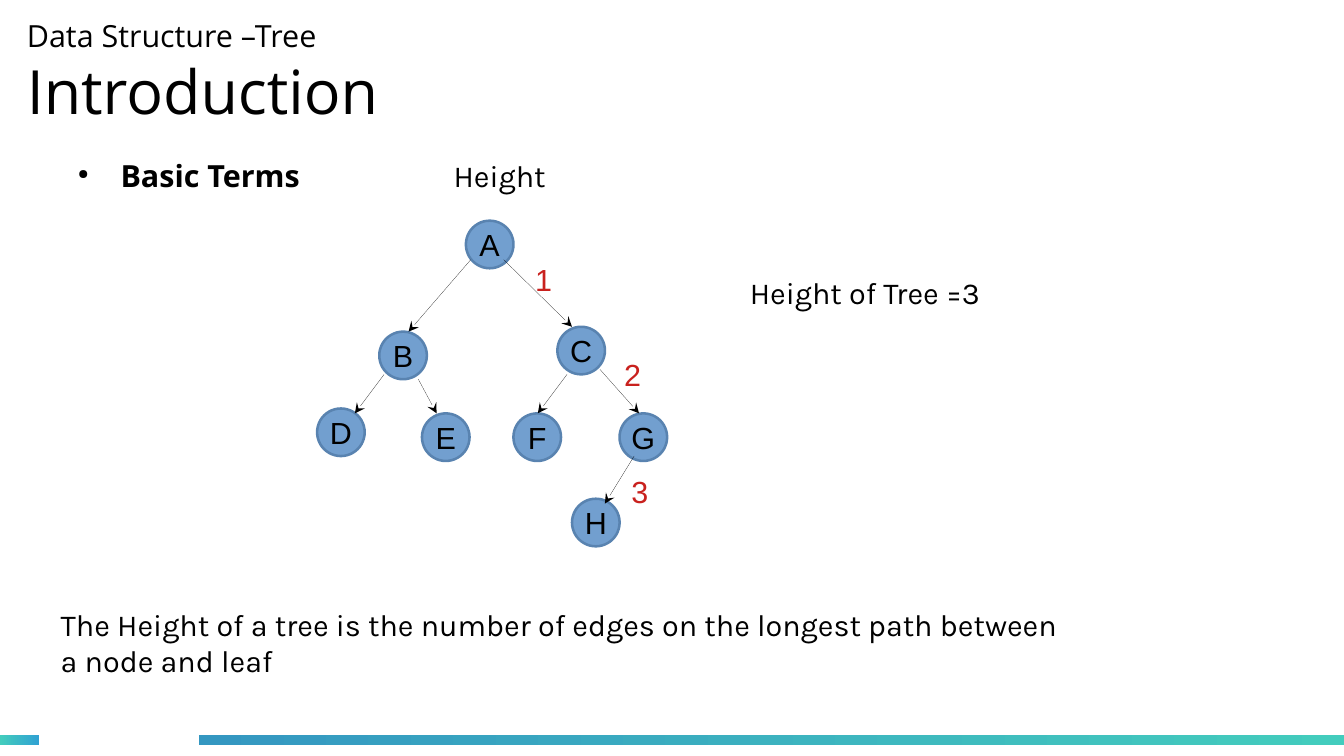
from pptx import Presentation
from pptx.dml.color import RGBColor
from pptx.enum.shapes import MSO_CONNECTOR as LINK, MSO_SHAPE as SHAPE
from pptx.enum.text import MSO_ANCHOR as ANCHOR, MSO_AUTO_SIZE as AUTO, PP_ALIGN as ALIGN
from pptx.oxml.ns import qn
from pptx.util import Inches, Pt
from lxml.etree import SubElement

BLACK = RGBColor(0x00, 0x00, 0x00)
RED = RGBColor(0xC9, 0x21, 0x1E)
NODE = RGBColor(0x72, 0x9F, 0xCF)
RIM = RGBColor(0x59, 0x83, 0xB0)
TEAL = RGBColor(0x43, 0xCC, 0xBD)
SKY = RGBColor(0x30, 0xA2, 0xD2)
BLUE = RGBColor(0x34, 0x97, 0xC1)

SIZE = 0.39  # node diameter

# Offsets in inches from the top left corner of the tree
NODES = {
    "A": (1.22, 0), "B": (0.51, 0.91), "C": (1.97, 0.87), "D": (0, 1.54),
    "E": (0.86, 1.58), "F": (1.61, 1.58), "G": (2.48, 1.58), "H": (2.09, 2.28),
}
EDGES = [
    (1.53, 0.32, 2.09, 0.87), (1.26, 0.32, 0.75, 0.91),
    (2.32, 1.22, 2.64, 1.58), (0.83, 1.3, 0.98, 1.58),
    (0.55, 1.26, 0.31, 1.58), (2.05, 1.26, 1.81, 1.58),
    (2.6, 1.93, 2.36, 2.32),
]
STEPS = {"1": (1.69, 0.28), "2": (2.42, 1.06), "3": (2.48, 2.02)}


def add_run(para, text, face, size=18, color=BLACK, bold=False):
    run = para.add_run()
    run.text = text
    font = run.font
    font.name, font.size, font.bold = face, Pt(size), bold
    font.color.rgb = color


def add_text(slide, box, lines, face="Karla", color=BLACK, bold=False):
    """Add a text box with one paragraph per line and return its frame."""
    frame = slide.shapes.add_textbox(*map(Inches, box)).text_frame
    frame.word_wrap = False
    for i, line in enumerate(lines):
        para = frame.add_paragraph() if i else frame.paragraphs[0]
        add_run(para, line, face, color=color, bold=bold)
    return frame


def add_title(slide, box):
    title = slide.shapes.title
    title.left, title.top, title.width, title.height = map(Inches, box)
    frame = title.text_frame
    frame.margin_left = frame.margin_right = 0
    frame.margin_top = frame.margin_bottom = 0
    frame.vertical_anchor = ANCHOR.MIDDLE
    frame.auto_size = AUTO.NONE
    para = frame.paragraphs[0]
    para.alignment = ALIGN.LEFT
    add_run(para, "Data Structure –Tree", "Open Sans")
    para.add_line_break()
    add_run(para, "Introduction", "Open Sans", 36)


def add_topic(slide, box):
    """Add the bulleted heading of the slide."""
    frame = add_text(slide, box, ["Basic Terms"], "Open Sans", bold=True)
    props = frame.paragraphs[0]._p.get_or_add_pPr()
    props.set("marL", str(Inches(0.47)))
    props.set("indent", str(Inches(-0.35)))
    SubElement(props, qn("a:buSzPct")).set("val", "45000")
    SubElement(props, qn("a:buChar")).set("char", "●")


def add_bar(slide, box, start, end):
    bar = slide.shapes.add_shape(SHAPE.RECTANGLE, *map(Inches, box))
    bar.shadow.inherit = False
    bar.line.fill.background()
    bar.fill.gradient()
    bar.fill.gradient_angle = 0
    for stop, color in zip(bar.fill.gradient_stops, (start, end)):
        stop.color.rgb = color


def add_node(slide, name, left, top):
    node = slide.shapes.add_shape(
        SHAPE.OVAL, Inches(left), Inches(top), Inches(SIZE), Inches(SIZE))
    node.shadow.inherit = False
    node.fill.solid()
    node.fill.fore_color.rgb = NODE
    node.line.color.rgb = RIM
    node.line.width = Pt(1.5)
    frame = node.text_frame
    frame.word_wrap = False
    frame.margin_left = frame.margin_right = 0
    frame.margin_top = frame.margin_bottom = 0
    frame.vertical_anchor = ANCHOR.MIDDLE
    para = frame.paragraphs[0]
    para.alignment = ALIGN.CENTER
    add_run(para, name, "Arial")


def add_edge(slide, ends):
    """Add a hairline arrow between two points."""
    edge = slide.shapes.add_connector(LINK.STRAIGHT, *map(Inches, ends))
    edge.line.color.rgb = BLACK
    line = edge.line._ln
    line.set("w", "0")
    SubElement(line, qn("a:tailEnd")).set("type", "stealth")
    SubElement(edge._element.spPr, qn("a:effectLst"))


def add_tree(slide, left, top):
    for name, (x, y) in NODES.items():
        add_node(slide, name, left + x, top + y)
    for x1, y1, x2, y2 in EDGES:
        add_edge(slide, (left + x1, top + y1, left + x2, top + y2))
    for step, (x, y) in STEPS.items():
        add_text(slide, (left + x, top + y, 0.34, 0.38), [step], "Arial", RED)


def main():
    deck = Presentation()
    deck.slide_width, deck.slide_height = Inches(11.02), Inches(6.2)
    slide = deck.slides.add_slide(deck.slide_layouts.get_by_name("Title Only"))
    add_bar(slide, (0, 6.03, 0.32, 0.08), TEAL, SKY)
    add_bar(slide, (1.63, 6.03, 9.39, 0.08), BLUE, TEAL)
    add_title(slide, (0.22, 0.08, 7.68, 1.02))
    add_topic(slide, (0.42, 1.24, 2.57, 0.45))
    add_text(slide, (3.62, 1.24, 1.02, 0.44), ["Height"])
    add_tree(slide, 2.6, 1.81)
    add_text(slide, (6.05, 2.2, 3.23, 0.49), ["Height of Tree =3"])
    add_text(slide, (0.4, 4.92, 10, 1.12), [
        "The Height of a tree is the number of edges on the longest path between",
        "a node and leaf",
    ])
    deck.save("out.pptx")


if __name__ == "__main__":
    main()
